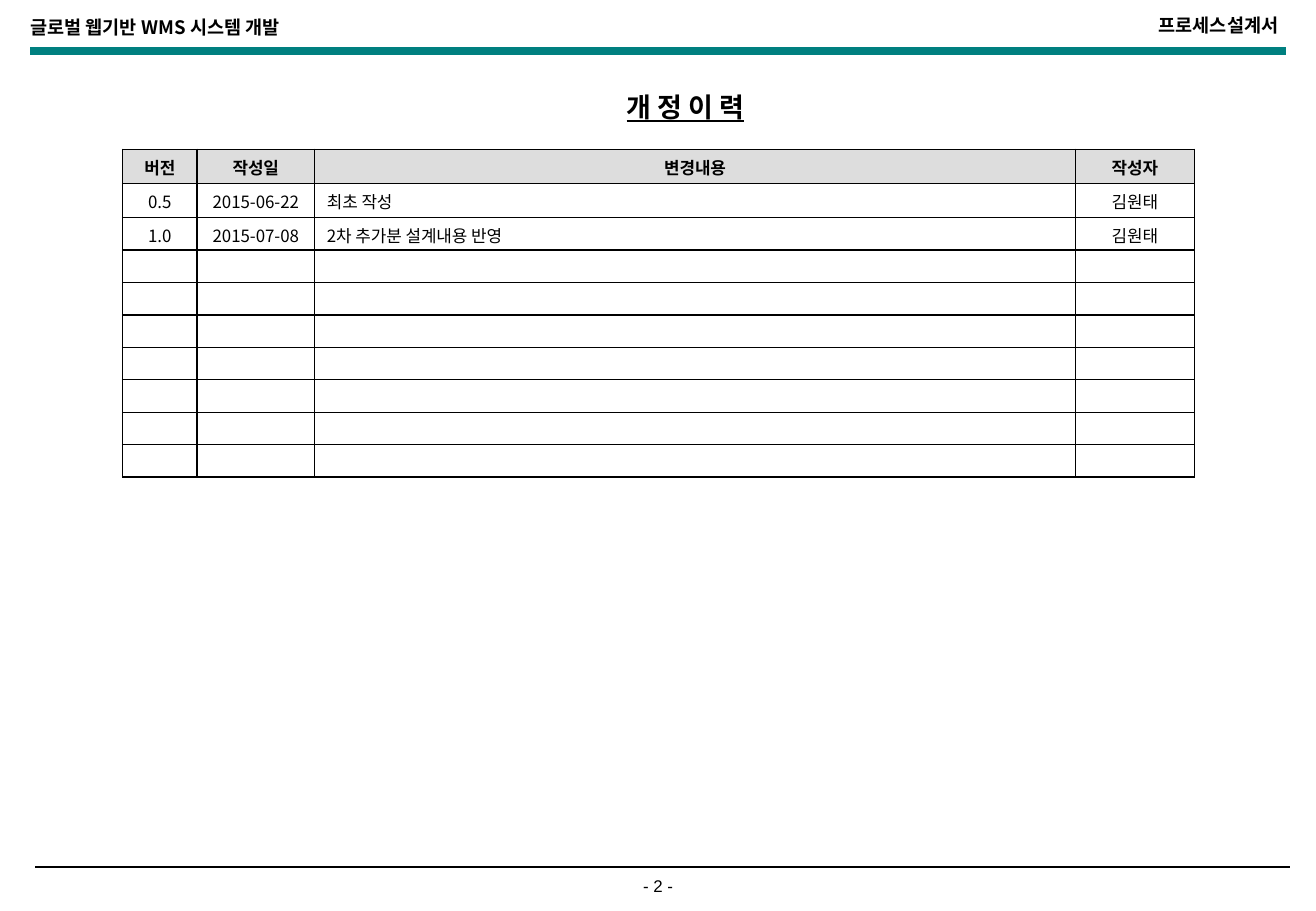
from dataclasses import dataclass

from lxml import etree
from pptx import Presentation
from pptx.dml.color import RGBColor
from pptx.enum.shapes import MSO_CONNECTOR
from pptx.enum.text import MSO_ANCHOR, MSO_AUTO_SIZE, PP_ALIGN
from pptx.oxml.ns import qn
from pptx.util import Inches, Pt

LEFT, MID, RIGHT = PP_ALIGN.LEFT, PP_ALIGN.CENTER, PP_ALIGN.RIGHT
JUST = PP_ALIGN.JUSTIFY
TOP, CENTER = MSO_ANCHOR.TOP, MSO_ANCHOR.MIDDLE
FIXED = MSO_AUTO_SIZE.NONE
STRAIGHT = MSO_CONNECTOR.STRAIGHT


@dataclass(frozen=True)
class Theme:
    """Fonts, type sizes and colours of the slide."""
    font: str = "Noto Sans CJK KR"
    plain: str = "Arial"
    title: int = 16
    head: int = 11
    body: int = 10
    blank: int = 8
    ink: str = "000000"
    teal: str = "008080"
    grey: str = "DDDDDD"


THEME = Theme()
WIDTHS = (0.61, 0.97, 6.26, 0.98)
ALIGNS = (MID, MID, LEFT, MID)
HEADS = ("버전", "작성일", "변경내용", "작성자")
ENTRIES = (
    ("0.5", "2015-06-22", "최초 작성", "김원태"),
    ("1.0", "2015-07-08", "2차 추가분 설계내용 반영", "김원태"),
)
ROWS = 10
TALL = 0.28
HIGH = 2.7


def color(code):
    """Turn a hex code into a colour."""
    return RGBColor.from_string(code)


def write(frame, text, size, align, bold=False, face=THEME.font, under=None):
    """Put one styled run into the first paragraph of a frame."""
    para = frame.paragraphs[0]
    para.alignment = align
    run = para.add_run()
    run.text = text
    font = run.font
    font.name, font.size, font.bold = face, Pt(size), bold
    font.underline = under
    font.color.rgb = color(THEME.ink)
    east = etree.SubElement(run._r.get_or_add_rPr(), qn("a:ea"))
    east.set("typeface", face)


def shape_frame(frame, wrap, anchor):
    """Set the wrap, anchor and insets of a frame."""
    frame.word_wrap = wrap
    frame.auto_size = FIXED
    frame.vertical_anchor = anchor
    frame.margin_left = frame.margin_right = Inches(0.1)
    frame.margin_top = frame.margin_bottom = Inches(0.05)


def add_text(slide, box, text, size, align, **style):
    """Add a text box with one line."""
    frame = slide.shapes.add_textbox(*map(Inches, box)).text_frame
    shape_frame(frame, True, TOP)
    write(frame, text, size, align, **style)


def add_rule(slide, left, top, code, width):
    """Add a level line across the page."""
    ends = map(Inches, (left, top, left + 10.33, top))
    line = slide.shapes.add_connector(STRAIGHT, *ends)
    line.line.color.rgb = color(code)
    line.line.width = Pt(width)
    etree.SubElement(line._element.spPr, qn("a:effectLst"))


def add_title(slide, text):
    """Place and fill the title."""
    title = slide.shapes.title
    title.left, title.top = Inches(4.93), Inches(0.69)
    title.width, title.height = Inches(1.42), Inches(0.37)
    shape_frame(title.text_frame, False, CENTER)
    write(title.text_frame, text, THEME.title, MID, bold=True, under=True)


def add_edges(cell):
    """Draw the four borders of a cell."""
    props = cell._tc.get_or_add_tcPr()
    for spot, side in enumerate(("a:lnL", "a:lnR", "a:lnT", "a:lnB")):
        edge = etree.Element(qn(side), w=str(Pt(1)))
        fill = etree.SubElement(edge, qn("a:solidFill"))
        etree.SubElement(fill, qn("a:srgbClr"), val=THEME.ink)
        props.insert(spot, edge)


def fill_cell(cell, text, align, head):
    """Style one cell and write its text."""
    cell.vertical_anchor = CENTER
    cell.margin_left = cell.margin_right = Inches(0.1)
    cell.margin_top, cell.margin_bottom = Inches(0.04), Inches(0.02)
    if head:
        cell.fill.solid()
        cell.fill.fore_color.rgb = color(THEME.grey)
    else:
        cell.fill.background()
    add_edges(cell)
    if text:
        write(cell.text_frame, text, THEME.body, align, bold=head)
    else:
        para = cell.text_frame.paragraphs[0]._p
        size = str(THEME.blank * 100)
        etree.SubElement(para, qn("a:endParaRPr"), sz=size)


def add_log(slide):
    """Add the table of revisions."""
    box = map(Inches, (1.01, 1.23, sum(WIDTHS), HIGH))
    table = slide.shapes.add_table(ROWS, len(WIDTHS), *box).table
    table.horz_banding = False
    for col, width in zip(table.columns, WIDTHS):
        col.width = Inches(width)
    low = (HIGH - 2 * TALL) / (ROWS - 2)
    blank = ("",) * len(WIDTHS)
    lines = (HEADS, *ENTRIES) + (blank,) * (ROWS - 1 - len(ENTRIES))
    for num, (row, texts) in enumerate(zip(table.rows, lines)):
        row.height = Inches(TALL if num < 2 else low)
        head = num == 0
        for cell, text, align in zip(row.cells, texts, ALIGNS):
            fill_cell(cell, text, MID if head else align, head)


def main():
    """Build and save the slide."""
    deck = Presentation()
    deck.slide_width, deck.slide_height = Inches(10.83), Inches(7.5)
    slide = deck.slides.add_slide(deck.slide_layouts[5])
    add_title(slide, "개 정 이 력")
    add_text(slide, (0.15, 0.08, 5.26, 0.37), "글로벌 웹기반 WMS 시스템 개발",
             THEME.head, JUST, bold=True)
    add_text(slide, (7.09, 0.07, 3.53, 0.37), "프로세스설계서",
             THEME.head, RIGHT, bold=True)
    add_rule(slide, 0.25, 0.42, THEME.teal, 4.5)
    add_rule(slide, 0.29, 7.14, THEME.ink, 1)
    add_text(slide, (4.95, 7.16, 0.93, 0.27), "- 2 -",
             THEME.body, MID, face=THEME.plain)
    add_log(slide)
    deck.save("out.pptx")


if __name__ == "__main__":
    main()
